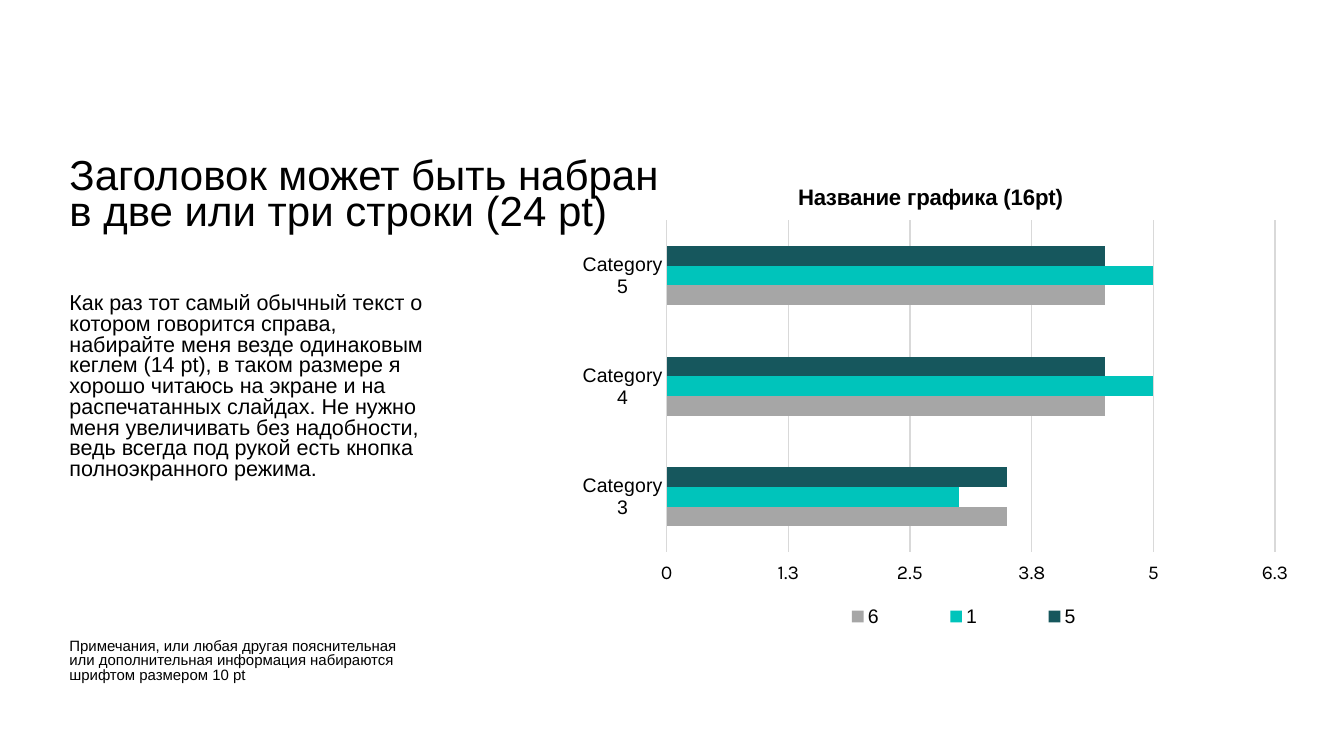
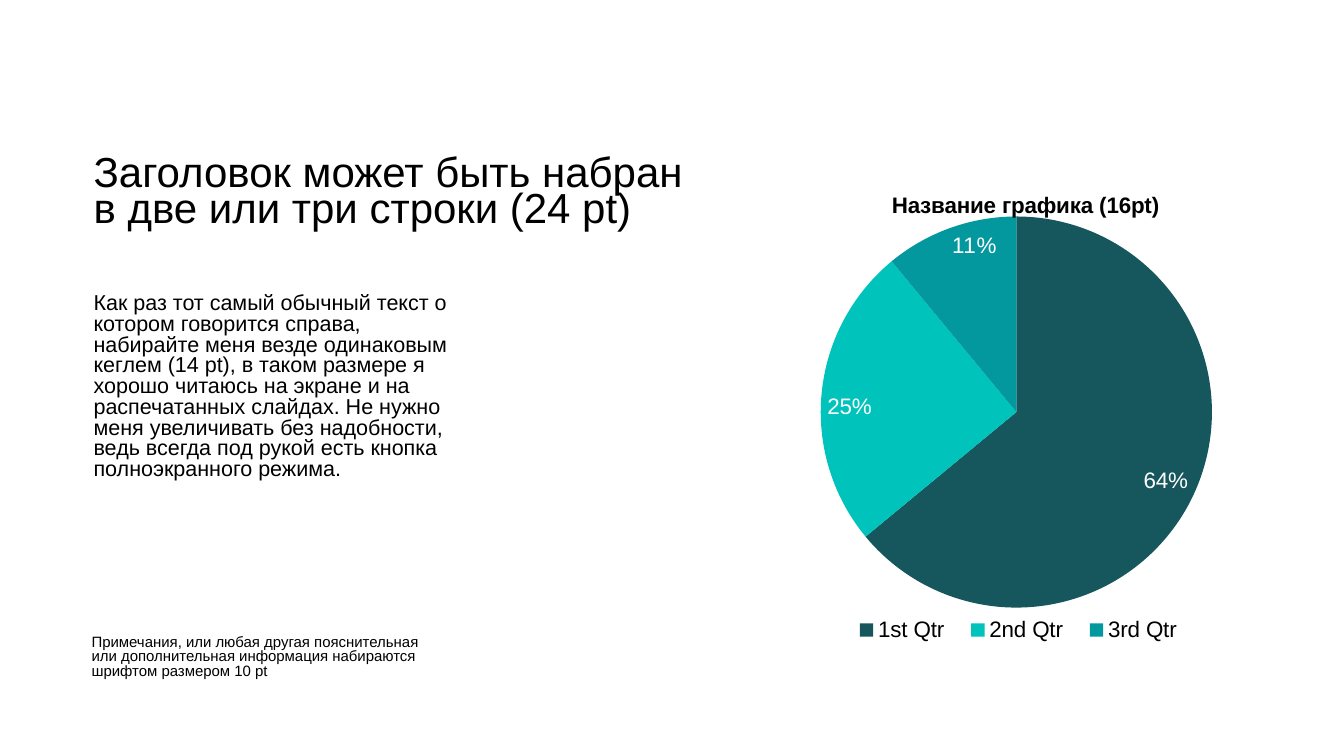
import pptx
import pptx.chart.data
import pptx.dml.color
import pptx.enum.chart
import pptx.enum.text
import pptx.oxml
import pptx.oxml.ns
import pptx.util

PX = 9144  # one px is a hundredth of an inch
FONT = "Arial"
BLACK, WHITE, GRID = "000000", "FFFFFF", "D9D9D9"
DARK, BRIGHT, TEAL, GREY = "16575D", "00C4BB", "02989E", "A6A6A6"
MIDDLE = pptx.enum.text.MSO_ANCHOR.MIDDLE
TOP = pptx.enum.text.MSO_ANCHOR.TOP

HEADING = ["Заголовок может быть набран", "в две или три строки (24 pt)"]
BODY = ["Как раз тот самый обычный текст о котором говорится справа, "
        "набирайте меня везде одинаковым кеглем (14 pt), в таком размере я "
        "хорошо читаюсь на экране и на распечатанных слайдах. Не нужно меня "
        "увеличивать без надобности, ведь всегда под рукой есть кнопка "
        "полноэкранного режима."]
NOTES = ["Примечания, или любая другая пояснительная или дополнительная "
         "информация набираются шрифтом размером 10 pt"]
CHART_TITLE = "Название графика (16pt)"

# Text styles shared by the slides
STYLES = {
    "heading": {"size": 30, "spacing": 0.7, "before": 12, "anchor": MIDDLE},
    "body": {"size": 15.4, "spacing": 0.8, "before": 12.5, "anchor": TOP},
    "notes": {"size": 10.7, "spacing": 0.8, "before": 23, "anchor": TOP},
}


def px(*lengths):
    return [pptx.util.Emu(length * PX) for length in lengths]


def color(value):
    return pptx.dml.color.RGBColor.from_string(value)


def set_values(target, values):
    for name, value in values.items():
        setattr(target, name, value)


def set_font(font, size, value=BLACK, name=FONT, bold=False):
    set_values(font, {"size": pptx.util.Pt(size), "name": name, "bold": bold})
    font.color.rgb = color(value)


def fill_solid(part, value):
    part.format.fill.solid()
    part.format.fill.fore_color.rgb = color(value)


def add_text(page, lines, style_name, left, top, width, height):
    style = STYLES[style_name]
    box = page.shapes.add_textbox(*px(left, top, width, height))
    set_values(box.text_frame, {"word_wrap": True, "vertical_anchor": style["anchor"]})
    para = box.text_frame.paragraphs[0]
    set_values(para, {"line_spacing": style["spacing"],
                      "space_before": pptx.util.Pt(style["before"])})
    for number, line in enumerate(lines):
        if number:
            para.add_line_break()
        span = para.add_run()
        span.text = line
        set_font(span.font, style["size"])


def add_copy(page, left, heading_top, notes_left, notes_top):
    """Heading, body and notes down the left side."""
    add_text(page, HEADING, "heading", left, heading_top, 1098, 87)
    add_text(page, BODY, "body", left, 287, 381, 253)
    add_text(page, NOTES, "notes", notes_left, notes_top, 358, 60)


def set_layout(parent, index, sides, inner=False):
    """Place a chart part by fractions of the chart: x, y and maybe w, h."""
    for old in parent.findall(pptx.oxml.ns.qn("c:layout")):
        parent.remove(old)
    parts = '<c:layoutTarget val="inner"/>' if inner else ""
    parts += '<c:xMode val="edge"/><c:yMode val="edge"/>'
    parts += "".join(f'<c:{key} val="{side}"/>' for key, side in zip("xywh", sides))
    parent.insert(index, pptx.oxml.parse_xml(
        f'<c:layout {pptx.oxml.ns.nsdecls("c")}>'
        f"<c:manualLayout>{parts}</c:manualLayout></c:layout>"))


def add_chart(page, kind, frame, categories, series, places, legend_size):
    """Chart with the shared title and legend; places holds the part layouts."""
    data = pptx.chart.data.CategoryChartData()
    data.categories = categories
    for name, values in series:
        data.add_series(name, values)
    chart = page.shapes.add_chart(kind, *px(*frame), data).chart
    set_font(chart.font, legend_size)
    chart.has_title = True
    title = chart.chart_title.text_frame
    title.text = CHART_TITLE
    set_font(title.paragraphs[0].runs[0].font, 16, bold=True)
    chart.has_legend = True
    set_values(chart.legend, {"position": pptx.enum.chart.XL_LEGEND_POSITION.BOTTOM,
                              "include_in_layout": True})
    set_font(chart.legend.font, legend_size)
    set_layout(chart.chart_title._element, 1, places["title"])
    set_layout(chart.legend._element, 1, places["legend"])
    set_layout(chart._chartSpace.chart.plotArea, 0, places["plot"], inner=True)
    return chart


def style_axis(axis, font_name):
    none = pptx.enum.chart.XL_TICK_MARK.NONE
    set_values(axis, {"major_tick_mark": none, "minor_tick_mark": none})
    axis.format.line.fill.background()
    set_font(axis.tick_labels.font, 14, name=font_name)


def add_bars(page):
    series = [("5", (4.5, 4.5, 3.5)), ("1", (5, 5, 3)), ("6", (4.5, 4.5, 3.5))]
    places = {"title": (0.31, 0.01), "legend": (0.3, 0.92, 0.5, 0.08),
              "plot": (0.13, 0.1, 0.86, 0.72)}
    chart = add_chart(page, pptx.enum.chart.XL_CHART_TYPE.BAR_CLUSTERED,
                      (570, 173, 708, 457),
                      ["Category 5", "Category 4", "Category 3"],
                      series, places, 14)
    set_values(chart.plots[0], {"gap_width": 262, "overlap": 0,
                                "vary_by_categories": False})
    for bars, value in zip(chart.plots[0].series, (DARK, BRIGHT, GREY)):
        fill_solid(bars, value)
    # Categories run downwards, so the high side is the bottom
    style_axis(chart.category_axis, FONT)
    chart.category_axis.reverse_order = True
    style_axis(chart.value_axis, "Karla")
    set_values(chart.value_axis, {
        "minimum_scale": 0, "maximum_scale": 6.25, "major_unit": 1.25,
        "has_major_gridlines": True,
        "tick_label_position": pptx.enum.chart.XL_TICK_LABEL_POSITION.HIGH})
    set_values(chart.value_axis.tick_labels, {"number_format": "0.#",
                                              "number_format_is_linked": False})
    line = chart.value_axis.major_gridlines.format.line
    line.width = pptx.util.Pt(1)
    line.color.rgb = color(GRID)


def add_pie(page):
    places = {"title": (0.17, 0.01), "legend": (0.05, 0.91, 0.9, 0.09),
              "plot": (0, 0.07, 0.99, 0.84)}
    chart = add_chart(page, pptx.enum.chart.XL_CHART_TYPE.PIE,
                      (814, 181, 392, 465), ["1st Qtr", "2nd Qtr", "3rd Qtr"],
                      [("Series 1", (64, 25, 11))], places, 16)
    plot = chart.plots[0]
    for number, value in enumerate((DARK, BRIGHT, TEAL)):
        fill_solid(plot.series[0].points[number], value)
    plot.has_data_labels = True
    labels = plot.data_labels
    set_values(labels, {"show_percentage": True, "show_value": False,
                        "number_format": "0%", "number_format_is_linked": False,
                        "position": pptx.enum.chart.XL_LABEL_POSITION.INSIDE_END})
    set_font(labels.font, 16, WHITE)


def main():
    deck = pptx.Presentation()
    deck.slide_width, deck.slide_height = px(1333, 750)
    blank = deck.slide_layouts[6]

    # Bar chart slide
    page = deck.slides.add_slide(blank)
    add_copy(page, 59, 153, 59, 630)
    add_bars(page)

    # Pie chart slide
    page = deck.slides.add_slide(blank)
    add_copy(page, 83, 150, 81, 626)
    add_pie(page)

    deck.save("out.pptx")


if __name__ == "__main__":
    main()
